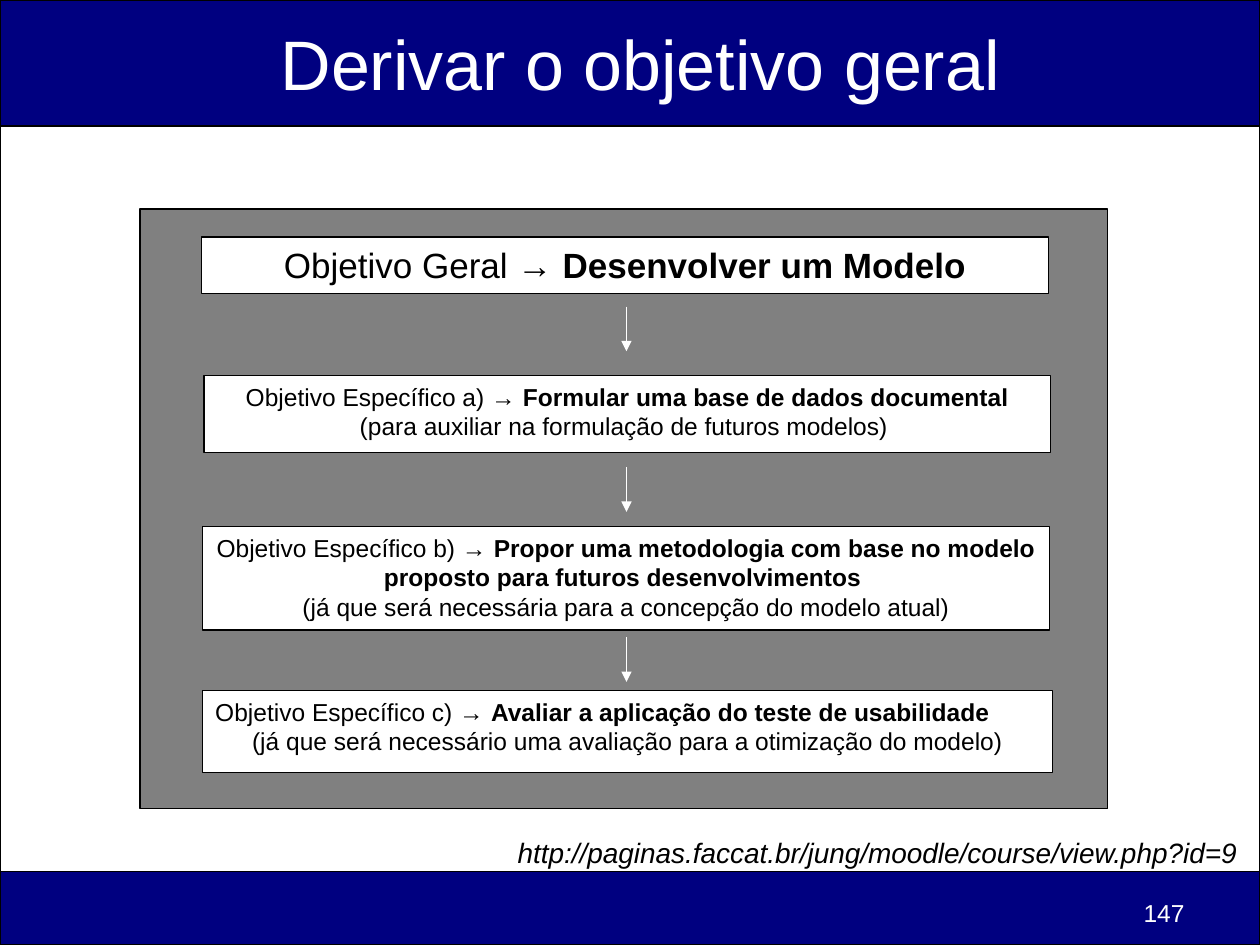
"""Builds a slide that derives specific objectives from a general one."""
from lxml import etree
from pptx import Presentation
from pptx import util as u
from pptx.dml.color import RGBColor
from pptx.enum import shapes, text
from pptx.oxml import ns

COLORS = {"back": "E4E5FE", "navy": "000080", "gray": "808080",
          "white": "FFFFFF", "black": "000000"}
ALIGN = text.PP_ALIGN
ARROW_X, ARROW_LENGTH = 358, 25.5

GOALS = [
    ((115.2, 135.4, 483.8, 32.4), 20, ALIGN.CENTER,
     [[("Objetivo Geral → ", False), ("Desenvolver um Modelo", True)]]),
    ((116.6, 214.6, 483.8, 44), 14, ALIGN.CENTER,
     [[("Objetivo Específico a) → ", False),
       ("Formular uma base de dados documental", True)],
      [("(para auxiliar na formulação de futuros modelos) ", False)]]),
    ((115.9, 301, 483.8, 59), 14, ALIGN.CENTER,
     [[("Objetivo Específico b) → ", False),
       ("Propor uma metodologia com base no modelo proposto "
        "para futuros desenvolvimentos ", True)],
      [("(já que será necessária para a concepção do modelo atual)", False)]]),
    ((115.9, 394.5, 485.5, 47), 14, ALIGN.JUSTIFY,
     [[("Objetivo Específico c) → ", False),
       ("Avaliar a aplicação do teste de usabilidade ", True)],
      [("(já que será necessário uma avaliação para a otimização do modelo)",
        False)]]),
]


def color(name):
    """Return the named colour."""
    return RGBColor.from_string(COLORS[name])


def points(*lengths):
    """Return the lengths as point values."""
    return [u.Pt(length) for length in lengths]


def add_panel(page, place, fill, line_width=0.75):
    """Add a filled rectangle with a black outline."""
    panel = page.shapes.add_shape(shapes.MSO_SHAPE.RECTANGLE, *points(*place))
    panel.shadow.inherit = False
    panel.fill.solid()
    panel.fill.fore_color.rgb = color(fill)
    panel.line.color.rgb = color("black")
    panel.line.width = u.Pt(line_width)
    return panel


def add_span(para, wording, size=14, ink="black", bold=False, italic=False):
    """Add a formatted run to a paragraph."""
    span = para.add_run()
    span.text = wording
    span.font.name = "Arial"
    span.font.size = u.Pt(size)
    span.font.color.rgb = color(ink)
    span.font.bold = bold
    span.font.italic = italic


def add_label(page, place, wording, align=ALIGN.LEFT, wrap=True,
              anchor=text.MSO_ANCHOR.TOP, **style):
    """Add a text box holding one formatted line."""
    box = page.shapes.add_textbox(*points(*place))
    box.text_frame.word_wrap = wrap
    box.text_frame.vertical_anchor = anchor
    para = box.text_frame.paragraphs[0]
    para.alignment = align
    add_span(para, wording, **style)


def add_goal(page, place, size, first_align, lines):
    """Add an objective box whose later lines are centred."""
    frame = add_panel(page, place, "white").text_frame
    frame.word_wrap = True
    frame.vertical_anchor = text.MSO_ANCHOR.TOP
    for index, spans in enumerate(lines):
        para = frame.add_paragraph() if index else frame.paragraphs[0]
        para.alignment = ALIGN.CENTER if index else first_align
        for wording, bold in spans:
            add_span(para, wording, size=size, bold=bold)


def add_arrow(page, top):
    """Add a white arrow pointing down."""
    arrow = page.shapes.add_connector(
        shapes.MSO_CONNECTOR.STRAIGHT,
        *points(ARROW_X, top, ARROW_X, top + ARROW_LENGTH))
    arrow.line.color.rgb = color("white")
    arrow.line.width = u.Pt(0.75)
    etree.SubElement(arrow.line._get_or_add_ln(), ns.qn("a:tailEnd"),
                     type="triangle")
    etree.SubElement(arrow._element.spPr, ns.qn("a:effectLst"))


def main():
    """Build and save the slide."""
    deck = Presentation()
    deck.slide_width, deck.slide_height = points(720, 540)
    page = deck.slides.add_slide(deck.slide_layouts[6])
    page.background.fill.solid()
    page.background.fill.fore_color.rgb = color("back")

    add_panel(page, (0, 72, 720, 426), "white", line_width=1)
    add_panel(page, (0, 0, 720, 72), "navy", line_width=1)
    add_panel(page, (0, 498, 720, 42), "navy", line_width=1)
    add_panel(page, (80, 119.5, 553, 342.7), "gray")
    for goal in GOALS:
        add_goal(page, *goal)
    for top in (175.2, 267, 364.2):
        add_arrow(page, top)

    add_label(page, (288.7, 473.8, 426.2, 26.6),
              "http://paginas.faccat.br/jung/moodle/course/view.php?id=9",
              wrap=False, size=16, italic=True)
    add_label(page, (77.8, 0, 576, 72), "Derivar o objetivo geral",
              align=ALIGN.CENTER, anchor=text.MSO_ANCHOR.MIDDLE,
              size=40, ink="white")
    add_label(page, (516.2, 509.8, 167.8, 19.4), "147",
              align=ALIGN.RIGHT, ink="white")
    deck.save("out.pptx")


if __name__ == "__main__":
    main()
